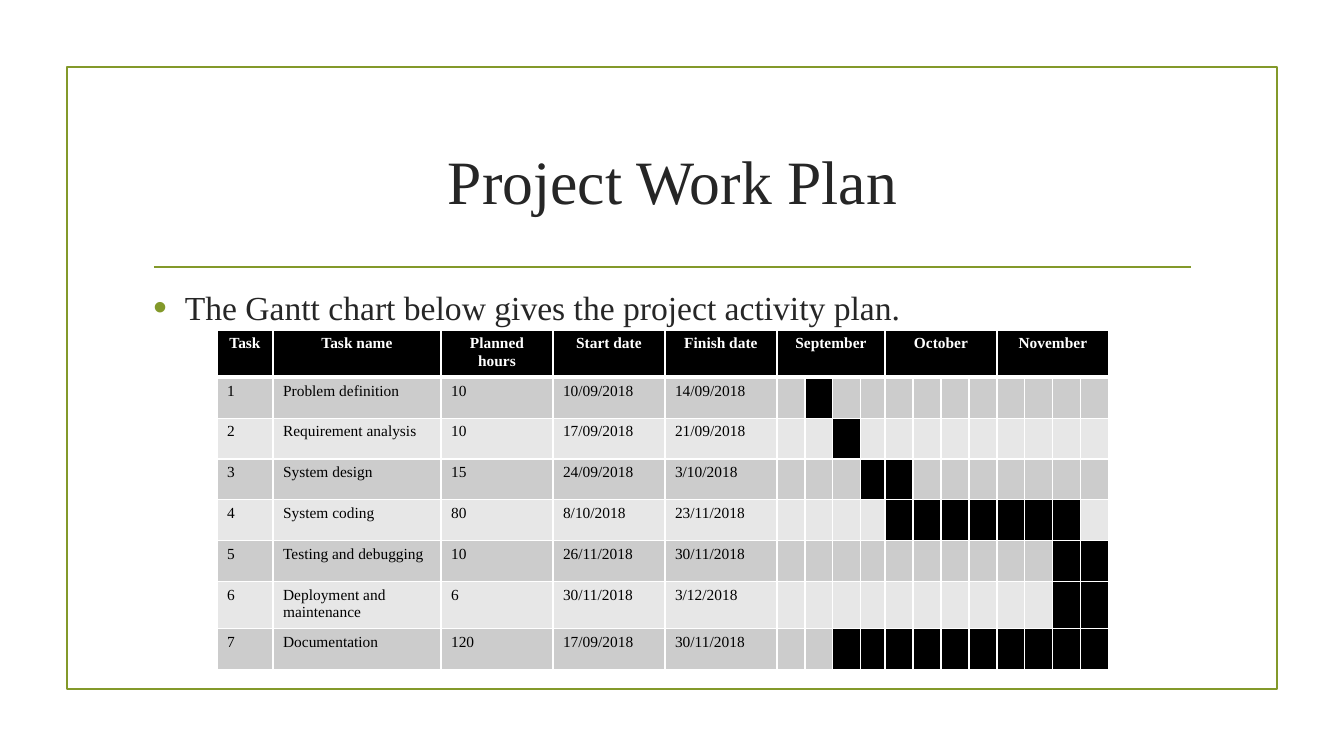
from lxml import etree
from pptx import Presentation
from pptx.dml.color import RGBColor
from pptx.enum.shapes import MSO_CONNECTOR, MSO_SHAPE
from pptx.enum.text import MSO_ANCHOR, PP_ALIGN
from pptx.oxml.ns import qn
from pptx.util import Pt

RECT, STRAIGHT = MSO_SHAPE.RECTANGLE, MSO_CONNECTOR.STRAIGHT
TOP, MIDDLE = MSO_ANCHOR.TOP, MSO_ANCHOR.MIDDLE
LEFT, CENTER = PP_ALIGN.LEFT, PP_ALIGN.CENTER

GREEN = RGBColor(0x83, 0x99, 0x2A)
INK = RGBColor(0x26, 0x26, 0x26)
BLACK = RGBColor(0x00, 0x00, 0x00)
WHITE = RGBColor(0xFF, 0xFF, 0xFF)
BANDS = (RGBColor(0xCC, 0xCC, 0xCC), RGBColor(0xE7, 0xE7, 0xE7))

HEADINGS = ("Task", "Task name", "Planned hours", "Start date", "Finish date")
MONTHS = ("September", "October", "November")
WEEKS = 4  # per month
# Task name, planned hours, start, finish, first and last week of the bar
TASKS = (
    ("Problem definition", 10, "10/09/2018", "14/09/2018", 2, 2),
    ("Requirement analysis", 10, "17/09/2018", "21/09/2018", 3, 3),
    ("System design", 15, "24/09/2018", "3/10/2018", 4, 5),
    ("System coding", 80, "8/10/2018", "23/11/2018", 5, 11),
    ("Testing and debugging", 10, "26/11/2018", "30/11/2018", 11, 12),
    ("Deployment and maintenance", 6, "30/11/2018", "3/12/2018", 11, 12),
    ("Documentation", 120, "17/09/2018", "30/11/2018", 3, 12),
)
COLUMNS = [40, 120, 80, 80, 80] + [20] * 3 + [17] + [20] * 8
ROW_HEIGHT = 29.2


class SlideBuilder:
    font = "Times New Roman"
    line_width = 1.25

    def __init__(self, slide):
        self.slide = slide

    def add_text(self, tf, text, size, color, align=LEFT, bold=False):
        p = tf.paragraphs[0]
        p.alignment = align
        r = p.add_run()
        r.text = text
        for name, value in {"name": self.font, "size": Pt(size), "bold": bold}.items():
            setattr(r.font, name, value)
        r.font.color.rgb = color
        return p

    def frame(self, x, y, w, h):
        sp = self.slide.shapes.add_shape(RECT, Pt(x), Pt(y), Pt(w), Pt(h))
        sp.shadow.inherit = False
        sp.fill.background()
        self.stroke(sp)

    def rule(self, x1, x2, y):
        line = self.slide.shapes.add_connector(STRAIGHT, Pt(x1), Pt(y), Pt(x2), Pt(y))
        self.stroke(line)
        etree.SubElement(line._element.spPr, qn("a:effectLst"))

    def stroke(self, sp):
        sp.line.color.rgb = GREEN
        sp.line.width = Pt(self.line_width)

    def text(self, x, y, w, h, text, size, align=LEFT, anchor=TOP):
        tf = self.slide.shapes.add_textbox(Pt(x), Pt(y), Pt(w), Pt(h)).text_frame
        tf.word_wrap = True
        tf.vertical_anchor = anchor
        return self.add_text(tf, text, size, INK, align)

    def bullet(self, p, indent):
        p.space_before, p.space_after = Pt(4.8), Pt(6)
        pPr = p._p.get_or_add_pPr()
        pPr.set("marL", str(Pt(indent)))
        pPr.set("indent", str(-Pt(indent)))
        color = etree.SubElement(pPr, qn("a:buClr"))
        etree.SubElement(color, qn("a:srgbClr"), val=str(GREEN))
        etree.SubElement(pPr, qn("a:buSzPct"), val="115000")
        etree.SubElement(pPr, qn("a:buFont"), typeface="Arial")
        etree.SubElement(pPr, qn("a:buChar"), char="•")

    def table(self, x, y, columns, rows):
        sp = self.slide.shapes.add_table(
            rows, len(columns), Pt(x), Pt(y), Pt(sum(columns)), Pt(rows * ROW_HEIGHT))
        for column, width in zip(sp.table.columns, columns):
            column.width = Pt(width)
        for row in sp.table.rows:
            row.height = Pt(ROW_HEIGHT)
        return sp.table

    def cell(self, cell, fill, text="", header=False):
        tcPr = cell._tc.get_or_add_tcPr()
        for side in ("lnL", "lnR", "lnT", "lnB"):
            width = 3 if header and side == "lnB" else 1
            ln = etree.SubElement(tcPr, qn("a:" + side), w=str(Pt(width)))
            solid = etree.SubElement(ln, qn("a:solidFill"))
            etree.SubElement(solid, qn("a:srgbClr"), val=str(WHITE))
        cell.fill.solid()
        cell.fill.fore_color.rgb = fill
        if text:
            color, align = (WHITE, CENTER) if header else (BLACK, LEFT)
            self.add_text(cell.text_frame, text, 11, color, align, header)


def main():
    prs = Presentation()
    prs.slide_width, prs.slide_height = Pt(960), Pt(540)
    s = SlideBuilder(prs.slides.add_slide(prs.slide_layouts[6]))

    # Frame, title and lead sentence
    s.frame(48, 48, 864, 444)
    s.rule(110, 850.5, 190.8)
    s.text(102.5, 77, 756, 103, "Project Work Plan", 44, CENTER, MIDDLE)
    lead = s.text(102.5, 201.6, 756, 261.4,
                  "The Gantt chart below gives the project activity plan.", 24)
    s.bullet(lead, 22.5)

    # Gantt table: header row
    table = s.table(155, 235.8, COLUMNS, len(TASKS) + 1)
    first_week = len(HEADINGS)
    for c, heading in enumerate(HEADINGS):
        s.cell(table.cell(0, c), BLACK, heading, header=True)
    for m, month in enumerate(MONTHS):
        start = first_week + m * WEEKS
        table.cell(0, start).merge(table.cell(0, start + WEEKS - 1))
        for c in range(start, start + WEEKS):
            s.cell(table.cell(0, c), BLACK, month if c == start else "", header=True)

    # Gantt table: one row per task, with its bar of weeks
    for number, (*details, begin, end) in enumerate(TASKS, 1):
        band = BANDS[(number - 1) % 2]
        for c, value in enumerate((number, *details)):
            s.cell(table.cell(number, c), band, str(value))
        for week in range(1, len(MONTHS) * WEEKS + 1):
            fill = BLACK if begin <= week <= end else band
            s.cell(table.cell(number, first_week + week - 1), fill)

    prs.save("out.pptx")


if __name__ == "__main__":
    main()
